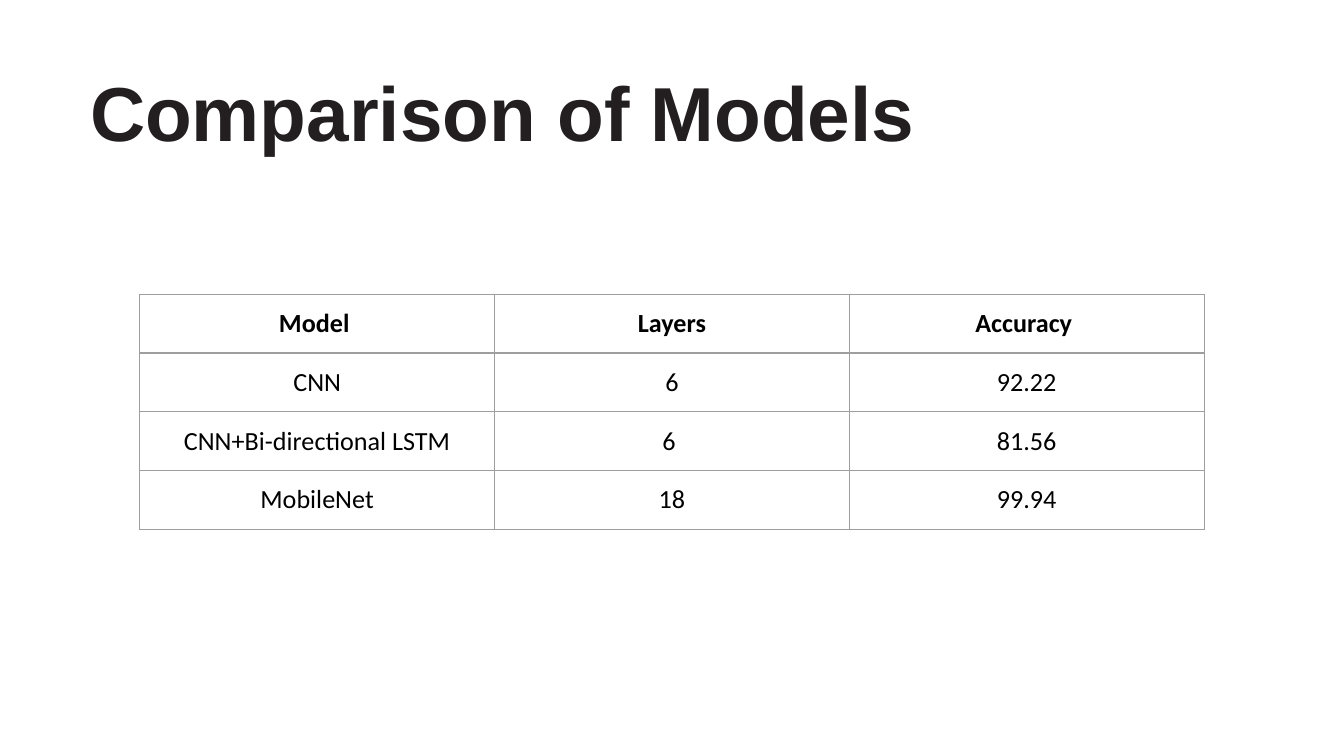
import pptx
import pptx.dml.color
import pptx.enum.text
import pptx.oxml
import pptx.oxml.ns
import pptx.util

Inches = pptx.util.Inches
TITLE = "Comparison of Models"
ROWS = [
    ("Model ", "Layers", "Accuracy "),
    ("CNN", "6", "92.22"),
    ("CNN+Bi-directional LSTM", "6 ", "81.56"),
    ("MobileNet", "18", "99.94"),
]
SLIDE_WIDTH = 10
SLIDE_HEIGHT = SLIDE_WIDTH * 9 / 16
COLUMN_WIDTH = 2.64
ROW_HEIGHT = 0.42


def color(value):
    return pptx.dml.color.RGBColor.from_string(value)


def set_format(target, values):
    for name, value in values.items():
        setattr(target, name, value)


def format_font(font, name, size, bold, hex_color):
    set_format(font, {"name": name, "size": pptx.util.Pt(size), "bold": bold})
    font.color.rgb = color(hex_color)


def add_title(slide):
    title = slide.shapes.title
    set_format(title, {
        "left": Inches(0.6), "top": Inches(0.52),
        "width": Inches(7.15), "height": Inches(0.71),
    })
    frame = title.text_frame
    frame.text = TITLE
    set_format(frame, {
        "margin_left": Inches(0.07), "margin_right": Inches(0.07),
        "margin_top": Inches(0.04), "margin_bottom": Inches(0.04),
        "word_wrap": True,
        "auto_size": pptx.enum.text.MSO_AUTO_SIZE.NONE,
        "vertical_anchor": pptx.enum.text.MSO_ANCHOR.TOP,
    })
    paragraph = frame.paragraphs[0]
    set_format(paragraph, {
        "alignment": pptx.enum.text.PP_ALIGN.LEFT, "line_spacing": 0.9,
    })
    format_font(paragraph.runs[0].font, "Arial", 41, True, "231F20")


def add_borders(cell, hex_color, width):
    properties = cell._tc.get_or_add_tcPr()
    for side in "LRTB":
        properties.append(pptx.oxml.parse_xml(
            f'<a:ln{side} {pptx.oxml.ns.nsdecls("a")} w="{pptx.util.Pt(width)}">'
            f'<a:solidFill><a:srgbClr val="{hex_color}"/></a:solidFill>'
            f'</a:ln{side}>'
        ))


def fill_cell(cell, text, bold):
    cell.text = text
    set_format(cell, {
        f"margin_{side}": Inches(0.1)
        for side in ("left", "right", "top", "bottom")
    })
    add_borders(cell, "9E9E9E", 0.75)
    cell.fill.background()
    paragraph = cell.text_frame.paragraphs[0]
    paragraph.alignment = pptx.enum.text.PP_ALIGN.CENTER
    format_font(paragraph.runs[0].font, "Calibri", 14, bold, "000000")


def add_model_table(slide):
    row_count, column_count = len(ROWS), len(ROWS[0])
    table = slide.shapes.add_table(
        row_count, column_count, Inches(1.04), Inches(2.19),
        Inches(COLUMN_WIDTH * column_count), Inches(ROW_HEIGHT * row_count),
    ).table
    set_format(table, {"first_row": False, "horz_banding": False})
    for row_index, texts in enumerate(ROWS):
        for column_index, text in enumerate(texts):
            fill_cell(table.cell(row_index, column_index), text, row_index == 0)


def main():
    presentation = pptx.Presentation()
    set_format(presentation, {
        "slide_width": Inches(SLIDE_WIDTH),
        "slide_height": Inches(SLIDE_HEIGHT),
    })
    slide = presentation.slides.add_slide(presentation.slide_layouts[5])
    add_title(slide)
    add_model_table(slide)
    presentation.save("out.pptx")


if __name__ == "__main__":
    main()
